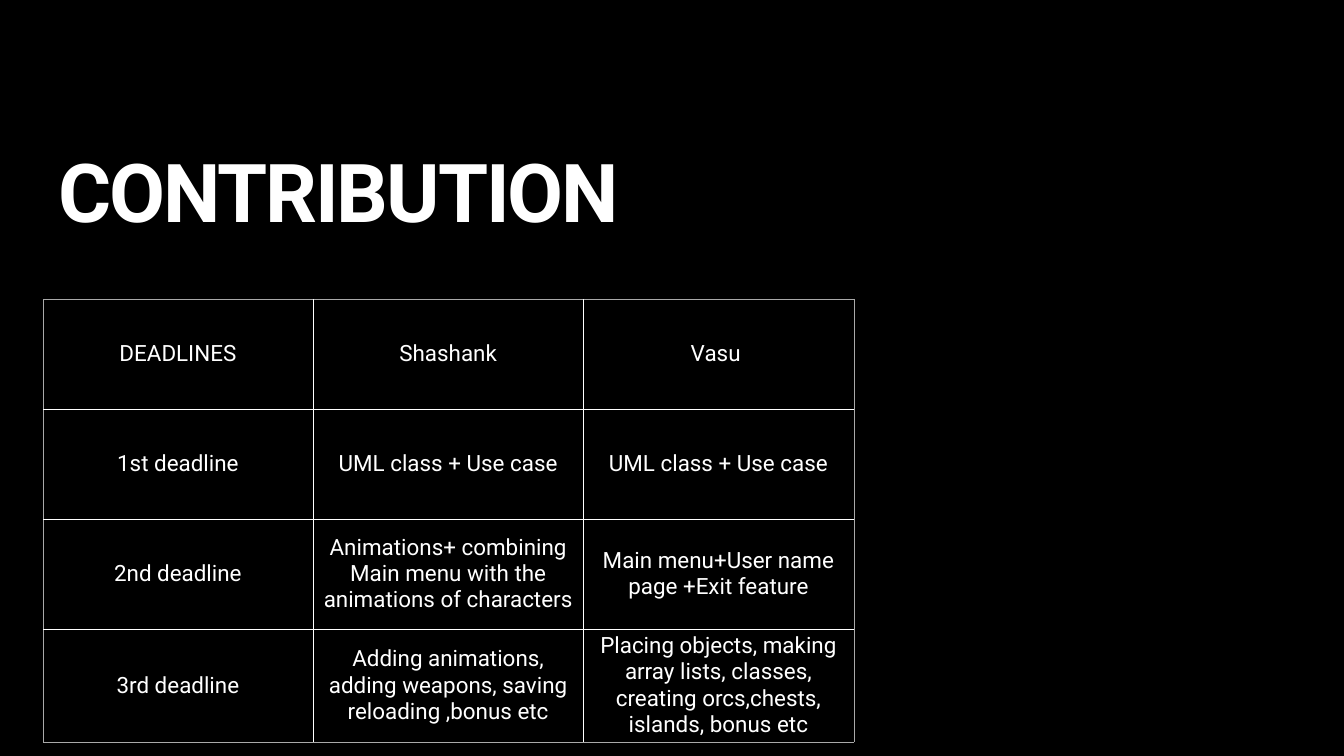
"""Builds the contribution slide with its table of deadlines."""
from lxml.etree import SubElement
from pptx import Presentation
from pptx.dml.color import RGBColor
from pptx.enum.text import MSO_ANCHOR, PP_ALIGN
from pptx.oxml.ns import qn
from pptx.util import Pt

COLORS = {"background": "000000", "text": "FFFFFF", "grid": "FFFFFF", "frame": "A9A9A9"}
FONT = "Roboto"
INSET = Pt(4)
COLUMN_WIDTH = 386.1
ROW_HEIGHT = 157.1
CONTRIBUTIONS = [
    ["DEADLINES", "Shashank", "Vasu "],
    ["1st deadline", "UML class + Use case", "UML class + Use case"],
    ["2nd deadline", "Animations+ combining Main menu with the animations of characters",
     "Main menu+User name page +Exit feature"],
    ["3rd deadline", "Adding animations, adding weapons, saving reloading ,bonus etc",
     "Placing objects, making array lists, classes, creating orcs,chests, islands, bonus etc"],
]


def color(name):
    return RGBColor.from_string(COLORS[name])


def add_run(paragraph, wording, size, bold=False):
    run = paragraph.add_run()
    run.text = wording
    run.font.name = FONT
    run.font.size = Pt(size)
    run.font.bold = bold
    run.font.color.rgb = color("text")
    return run


def set_insets(holder):
    holder.margin_left = holder.margin_right = INSET
    holder.margin_top = holder.margin_bottom = INSET


def add_heading(slide, wording):
    frame = slide.shapes.add_textbox(Pt(79.2), Pt(-21.6), Pt(1730), Pt(365.8)).text_frame
    frame.word_wrap = True
    frame.vertical_anchor = MSO_ANCHOR.BOTTOM
    set_insets(frame)
    paragraph = frame.paragraphs[0]
    paragraph.line_spacing = 0.8
    run = add_run(paragraph, wording, 116, bold=True)
    run.font._element.set("spc", "-300")


def add_borders(cell, outer_sides):
    properties = cell._tc.get_or_add_tcPr()
    for side in ("L", "R", "T", "B"):
        name, width = ("frame", 0.25) if side in outer_sides else ("grid", 1)
        line = SubElement(properties, qn(f"a:ln{side}"), w=str(Pt(width)))
        fill = SubElement(line, qn("a:solidFill"))
        SubElement(fill, qn("a:srgbClr"), val=COLORS[name])


def fill_cell(cell, wording, outer_sides):
    add_borders(cell, outer_sides)
    cell.fill.background()
    cell.vertical_anchor = MSO_ANCHOR.MIDDLE
    set_insets(cell)
    paragraph = cell.text_frame.paragraphs[0]
    paragraph.alignment = PP_ALIGN.CENTER
    add_run(paragraph, wording, 32)


def add_deadline_table(slide, rows):
    row_count, column_count = len(rows), len(rows[0])
    table = slide.shapes.add_table(
        row_count, column_count, Pt(61.2), Pt(427),
        Pt(COLUMN_WIDTH * column_count), Pt(ROW_HEIGHT * row_count)).table
    table.first_row = table.horz_banding = False
    for column in table.columns:
        column.width = Pt(COLUMN_WIDTH)
    for r, row in enumerate(rows):
        table.rows[r].height = Pt(ROW_HEIGHT)
        for c, wording in enumerate(row):
            at_edge = {"L": c == 0, "R": c == column_count - 1,
                       "T": r == 0, "B": r == row_count - 1}
            outer_sides = {side for side, outer in at_edge.items() if outer}
            fill_cell(table.cell(r, c), wording, outer_sides)


def main():
    deck = Presentation()
    deck.slide_width, deck.slide_height = Pt(1920), Pt(1080)
    slide = deck.slides.add_slide(deck.slide_layouts[6])
    slide.background.fill.solid()
    slide.background.fill.fore_color.rgb = color("background")
    add_heading(slide, "CONTRIBUTION")
    add_deadline_table(slide, CONTRIBUTIONS)
    deck.save("out.pptx")


main()
